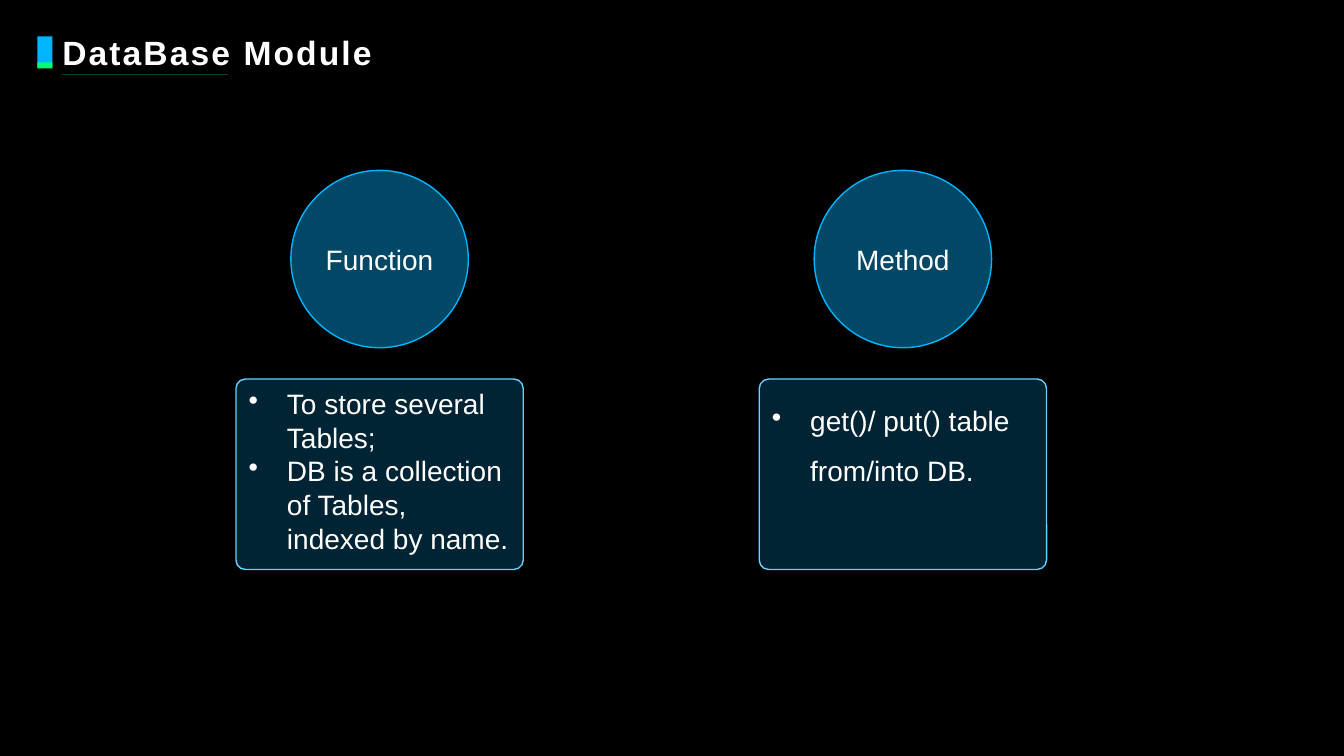
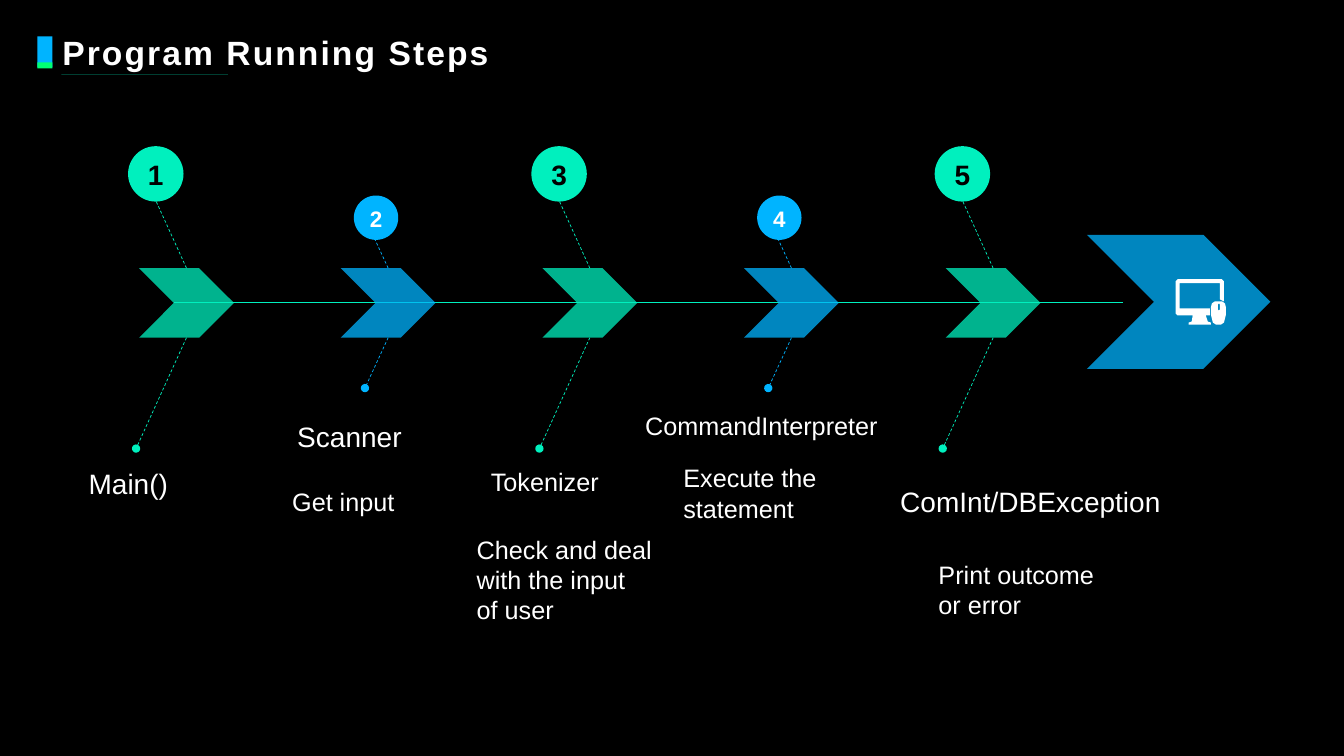
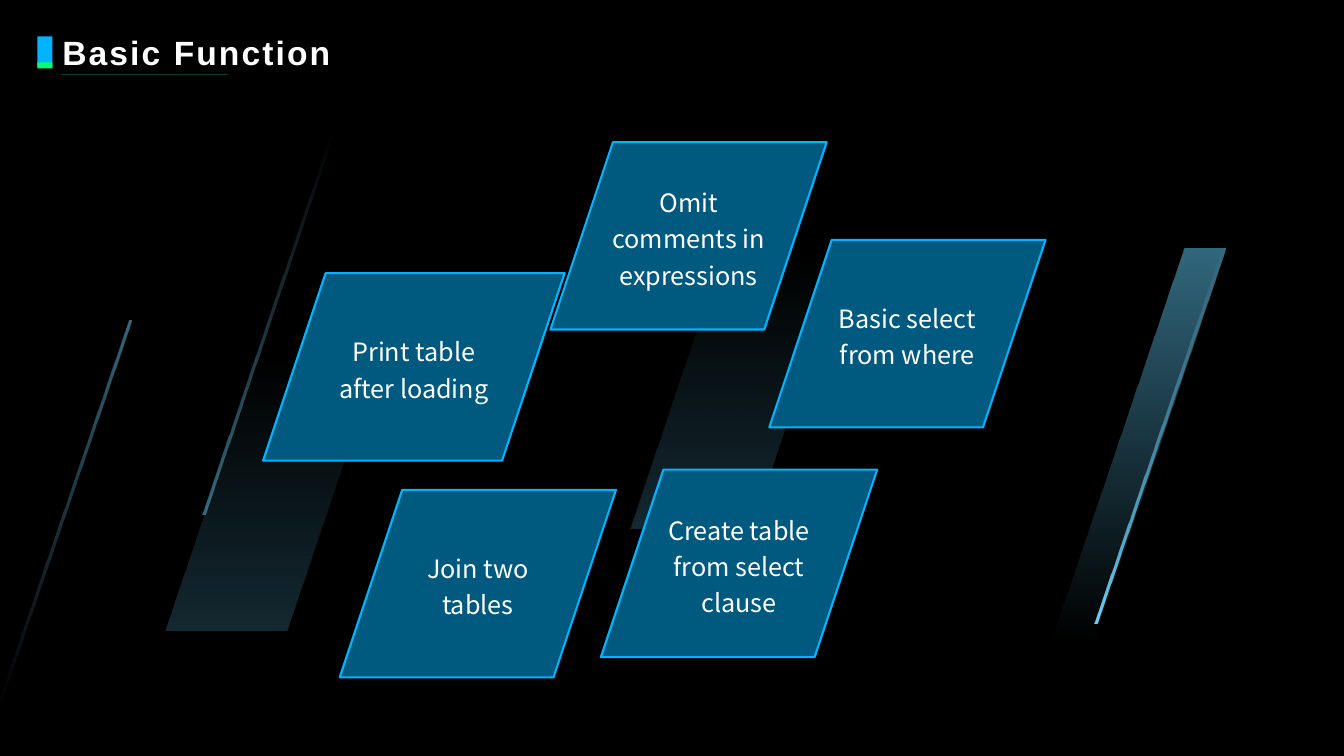
from dataclasses import dataclass
from typing import Any, NamedTuple, Optional

import lxml.etree
import pptx
import pptx.dml.color
import pptx.enum.dml
import pptx.enum.shapes
import pptx.enum.text
import pptx.oxml.ns
import pptx.util

Inches = pptx.util.Inches
Pt = pptx.util.Pt
Kind = pptx.enum.shapes.MSO_SHAPE
Align = pptx.enum.text.PP_ALIGN
Anchor = pptx.enum.text.MSO_ANCHOR
qn = pptx.oxml.ns.qn


@dataclass(frozen=True)
class Theme:
    black: str = "000000"
    white: str = "FFFFFF"
    blue: str = "00B4FF"
    pale: str = "66D2FF"
    deep: str = "005A80"
    mint: str = "00F0BE"
    lime: str = "00FF73"
    face: str = "Arial"
    sans: str = "Noto Sans CJK SC"
    head: int = 24
    big: int = 20
    mid: int = 18
    small: int = 16


THEME = Theme()


class Box(NamedTuple):
    x: float
    y: float
    w: float
    h: float


class Style(NamedTuple):
    size: int = THEME.big
    color: str = THEME.white
    bold: bool = False
    face: str = THEME.face
    align: Any = Align.LEFT
    gap: Optional[float] = None
    bullet: bool = False


class Topic(NamedTuple):
    x: float
    name: str
    points: list[str]
    gap: Optional[float]


class Look(NamedTuple):
    color: str
    ink: str
    size: int
    gap: Optional[float]
    disc: float
    left: float
    top: float
    lean: float
    rise: float


class Label(NamedTuple):
    box: Box
    text: str
    size: int = THEME.mid
    anchor: Any = Anchor.TOP


class Card(NamedTuple):
    x: float
    y: float
    text: str
    w: float = 2.74


class Beam(NamedTuple):
    box: Box
    lean: float
    top: int
    foot: int


def rgb(color: str) -> pptx.dml.color.RGBColor:
    return pptx.dml.color.RGBColor.from_string(color)


def fade(node: Any, *parts: int) -> None:
    for tint, part in zip(list(node.iter(qn("a:srgbClr"))), parts):
        lxml.etree.SubElement(tint, qn("a:alpha")).set("val", str(part * 1000))


def write(shape: Any, texts: list[str], style: Style, anchor: Any = Anchor.TOP,
          wrap: bool = True, inset: Optional[float] = None) -> None:
    frame = shape.text_frame
    frame.word_wrap = wrap
    frame.vertical_anchor = anchor
    if inset is not None:
        frame.margin_left = frame.margin_right = Inches(inset)
        frame.margin_top = frame.margin_bottom = Inches(inset)
    for index, text in enumerate(texts):
        para = frame.add_paragraph() if index else frame.paragraphs[0]
        para.text = text
        para.alignment = style.align
        if style.gap:
            para.line_spacing = style.gap
        if style.bullet:
            props = para._p.get_or_add_pPr()
            props.set("marL", str(Inches(0.38)))
            props.set("indent", str(Inches(-0.38)))
            lxml.etree.SubElement(props, qn("a:buChar")).set("char", "•")
        font = para.font
        font.name = style.face
        font.size = Pt(style.size)
        font.bold = style.bold
        font.color.rgb = rgb(style.color)


def draw(slide: Any, kind: Any, box: Box, color: str, part: int = 100,
         edge: Optional[str] = None, width: float = 1) -> Any:
    shape = slide.shapes.add_shape(kind, *map(Inches, box))
    shape.shadow.inherit = False
    shape.fill.solid()
    shape.fill.fore_color.rgb = rgb(color)
    if part < 100:
        fade(shape._element.spPr, part)
    if edge:
        shape.line.color.rgb = rgb(edge)
        shape.line.width = Pt(width)
    else:
        shape.line.fill.background()
    return shape


def slant(slide: Any, box: Box, lean: float, color: str,
          edge: Optional[str] = None) -> Any:
    shape = draw(slide, Kind.PARALLELOGRAM, box, color, edge=edge, width=1.5)
    shape.adjustments[0] = lean / min(box.w, box.h)
    return shape


def link(slide: Any, start: tuple[float, float], end: tuple[float, float],
         color: str, width: float = 0.5, dash: bool = False,
         dot: bool = False, part: int = 100) -> None:
    line = slide.shapes.add_connector(
        pptx.enum.shapes.MSO_CONNECTOR.STRAIGHT, *map(Inches, start + end))
    line.line.color.rgb = rgb(color)
    line.line.width = Pt(width)
    if dash:
        line.line.dash_style = pptx.enum.dml.MSO_LINE.DASH
    props = line._element.spPr
    if part < 100:
        fade(props, part)
    if dot:
        tail = lxml.etree.SubElement(props.find(qn("a:ln")), qn("a:tailEnd"))
        tail.set("type", "oval")
    lxml.etree.SubElement(props, qn("a:effectLst"))


def note(slide: Any, box: Box, text: str, style: Style,
         anchor: Any = Anchor.TOP) -> Any:
    shape = slide.shapes.add_textbox(*map(Inches, box))
    write(shape, [text], style, anchor)
    return shape


def start(deck: Any, title: str) -> Any:
    slide = deck.slides.add_slide(deck.slide_layouts[6])
    slide.background.fill.solid()
    slide.background.fill.fore_color.rgb = rgb(THEME.black)
    draw(slide, Kind.RECTANGLE, Box(0.37, 0.36, 0.15, 0.31), THEME.blue)
    draw(slide, Kind.RECTANGLE, Box(0.37, 0.62, 0.15, 0.06), THEME.lime)
    link(slide, (0.61, 0.74), (2.26, 0.74), THEME.mint, part=25)
    head = note(slide, Box(0.52, 0.3, 12.27, 0.49), title,
                Style(THEME.head, bold=True, gap=0.9), Anchor.MIDDLE)
    for font in head._element.iter(qn("a:defRPr")):
        font.set("spc", "150")
    return slide


TOPICS = [
    Topic(2.34, "Function", ["To store several Tables;",
          "DB is a collection of Tables, indexed by name."], None),
    Topic(7.53, "Method", ["get()/ put() table from/into DB."], 1.5),
]


def store(deck: Any) -> None:
    slide = start(deck, "DataBase Module")
    wide, disc = 2.85, 1.76
    for topic in TOPICS:
        left = topic.x + (wide - disc) / 2
        ball = draw(slide, Kind.OVAL, Box(left, 1.69, disc, disc),
                    THEME.blue, 40, THEME.blue)
        write(ball, [topic.name], Style(align=Align.CENTER),
              Anchor.MIDDLE, False, 0)
        card = draw(slide, Kind.ROUNDED_RECTANGLE,
                    Box(topic.x, 3.76, wide, 1.89), THEME.blue, 20, THEME.pale)
        card.adjustments[0] = 0.05
        write(card, topic.points, Style(gap=topic.gap, bullet=True))


ODD = Look(THEME.mint, THEME.black, THEME.big, None, 0.55, -0.11, 1.45, 0.5, 1.1)
EVEN = Look(THEME.blue, THEME.white, THEME.small, 1.1, 0.44, 0.13, 1.94, 0.23, 0.5)

LABELS = [
    Label(Box(0.78, 4.58, 1.62, 0.44), "Main()", THEME.big),
    Label(Box(2.85, 4.11, 1.77, 0.44), "Scanner", THEME.big),
    Label(Box(2.8, 4.78, 1.53, 0.4), "Get input"),
    Label(Box(4.77, 4.58, 1.73, 0.4), "Tokenizer"),
    Label(Box(4.63, 5.25, 1.94, 1.01), "Check and deal with the input of user"),
    Label(Box(6.3, 4.02, 2.55, 0.4), "CommandInterpreter"),
    Label(Box(6.68, 4.54, 1.94, 0.71), "Execute the statement"),
    Label(Box(8.83, 4.7, 2.91, 0.55), "ComInt/DBException",
          THEME.big, Anchor.MIDDLE),
    Label(Box(9.21, 5.5, 1.94, 0.71), "Print outcome or error"),
]

SCREEN = [
    (11.68, 2.77), (12.12, 2.77), (12.14, 2.79), (12.14, 2.99), (12.1, 2.97),
    (12.1, 2.81), (11.7, 2.81), (11.7, 3.06), (12, 3.06), (12, 3.13),
    (11.96, 3.13), (11.98, 3.19), (12.01, 3.2), (12.01, 3.22), (11.79, 3.22),
    (11.79, 3.2), (11.82, 3.19), (11.83, 3.13), (11.68, 3.13), (11.66, 3.11),
    (11.66, 2.79),
]
MOUSE = [
    (12.09, 2.99), (12.12, 2.99), (12.15, 3.01), (12.16, 3.05), (12.16, 3.12),
    (12.14, 3.2), (12.11, 3.22), (12.06, 3.22), (12.03, 3.2), (12.01, 3.12),
    (12.01, 3.05), (12.02, 3.01), (12.05, 2.99),
]
SLOT = [(12.08, 3.02), (12.08, 3.07), (12.09, 3.08), (12.1, 3.07),
        (12.1, 3.02), (12.09, 3.01)]


def icon(slide: Any) -> None:
    rings = [[(Inches(x), Inches(y)) for x, y in ring]
             for ring in (SCREEN, MOUSE, SLOT)]
    pen = slide.shapes.build_freeform(*rings[0][0])
    for index, ring in enumerate(rings):
        if index:
            pen.move_to(*ring[0])
        pen.add_line_segments(ring[1:], close=True)
    shape = pen.convert_to_shape()
    shape.shadow.inherit = False
    shape.fill.solid()
    shape.fill.fore_color.rgb = rgb(THEME.white)
    shape.line.fill.background()


def step(slide: Any, count: int) -> None:
    look = ODD if count % 2 else EVEN
    left = 1.38 + 2 * (count - 1)
    mid = left + 0.47
    far = mid - look.lean
    link(slide, (mid, 2.66), (far, 2.66 - look.rise), look.color, dash=True)
    link(slide, (mid, 3.35), (far, 3.35 + look.rise), look.color,
         dash=True, dot=True)
    draw(slide, Kind.CHEVRON, Box(left, 2.66, 0.94, 0.69), look.color, 75)
    ball = draw(slide, Kind.OVAL,
                Box(left + look.left, look.top, look.disc, look.disc), look.color)
    write(ball, [str(count)],
          Style(look.size, look.ink, True, align=Align.CENTER, gap=look.gap),
          Anchor.MIDDLE, inset=0)


def steps(deck: Any) -> None:
    slide = start(deck, "Program Running Steps")
    link(slide, (1.73, 3), (11.14, 3), THEME.mint, 1)
    draw(slide, Kind.CHEVRON, Box(10.78, 2.33, 1.82, 1.33), THEME.blue, 75)
    for count in range(1, 6):
        step(slide, count)
    icon(slide)
    for label in LABELS:
        note(slide, label.box, label.text, Style(label.size), label.anchor)


BACK = [
    Beam(Box(6.25, 2.43, 2.15, 2.81), 0.95, 0, 20),
    Beam(Box(1.64, 3.44, 2.15, 2.81), 0.95, 0, 20),
]
FRONT = [
    Beam(Box(10.42, 2.47, 1.73, 3.92), 1.32, 50, 0),
    Beam(Box(10.86, 2.34, 1.33, 3.85), 1.3, 0, 100),
    Beam(Box(2.01, 1.25, 1.33, 3.85), 1.3, 0, 50),
    Beam(Box(-0.03, 3.18, 1.33, 3.85), 1.3, 50, 0),
]
CARDS = [
    Card(5.46, 1.41, "Omit comments in expressions"),
    Card(7.63, 2.38, "Basic select from where"),
    Card(5.96, 4.66, "Create table from select clause"),
    Card(3.37, 4.86, "Join two tables"),
    Card(2.61, 2.71, "Print table after loading", 2.99),
]


def shine(slide: Any, beams: list[Beam]) -> None:
    for beam in beams:
        shape = slant(slide, beam.box, beam.lean, THEME.pale)
        shape.fill.gradient()
        shape.fill.gradient_angle = 270
        for stop in shape.fill.gradient_stops:
            stop.color.rgb = rgb(THEME.pale)
        fade(shape._element.spPr, beam.top, beam.foot)


def basics(deck: Any) -> None:
    slide = start(deck, "Basic Function")
    shine(slide, BACK)
    style = Style(THEME.mid, face=THEME.sans, align=Align.CENTER, gap=1.2)
    for card in CARDS:
        shape = slant(slide, Box(card.x, card.y, card.w, 1.86), 0.62,
                      THEME.deep, THEME.blue)
        write(shape, [card.text], style, Anchor.MIDDLE)
    shine(slide, FRONT)


def main() -> None:
    deck = pptx.Presentation()
    deck.slide_width = Inches(13.33)
    deck.slide_height = Inches(7.5)
    store(deck)
    steps(deck)
    basics(deck)
    deck.save("out.pptx")


if __name__ == "__main__":
    main()
